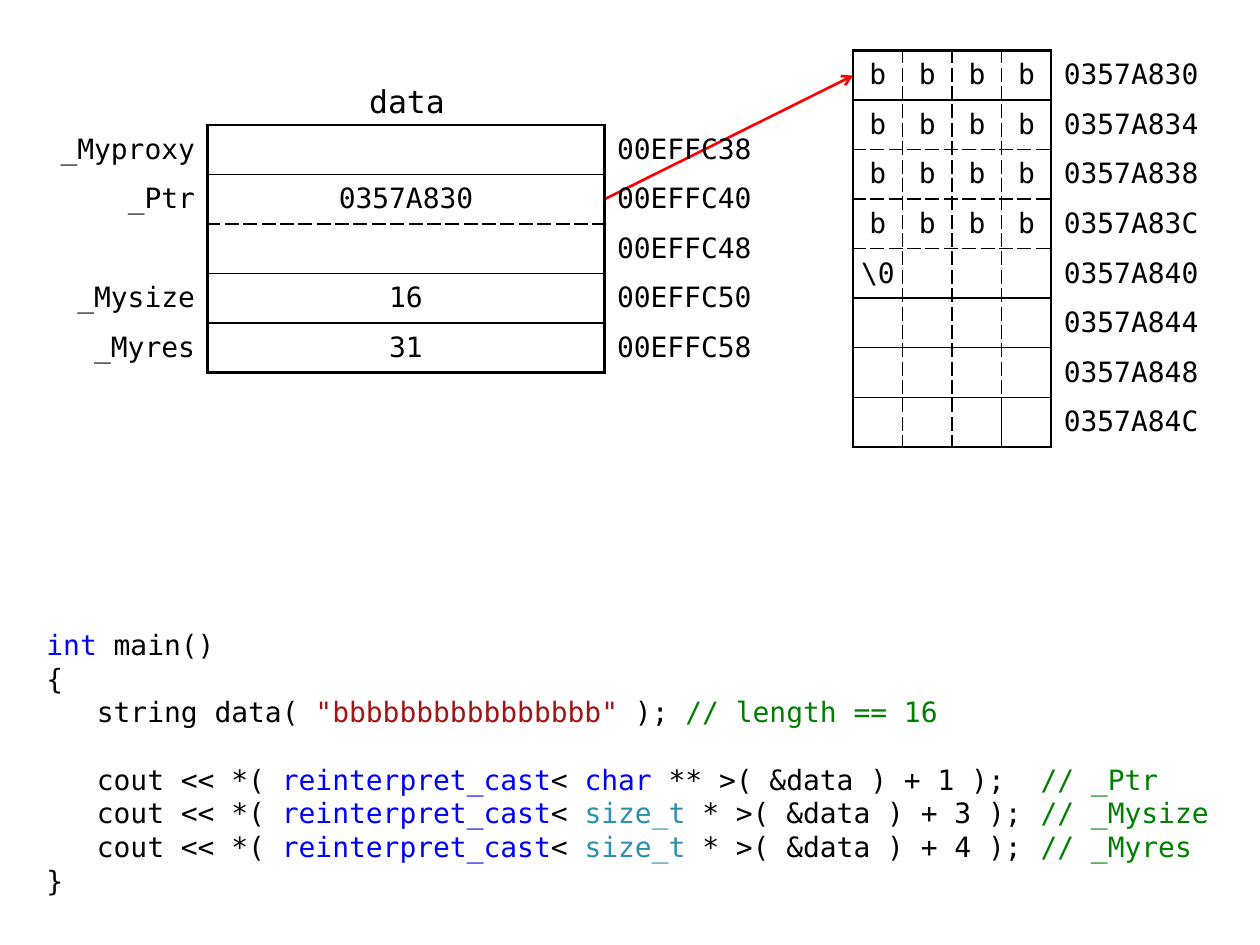
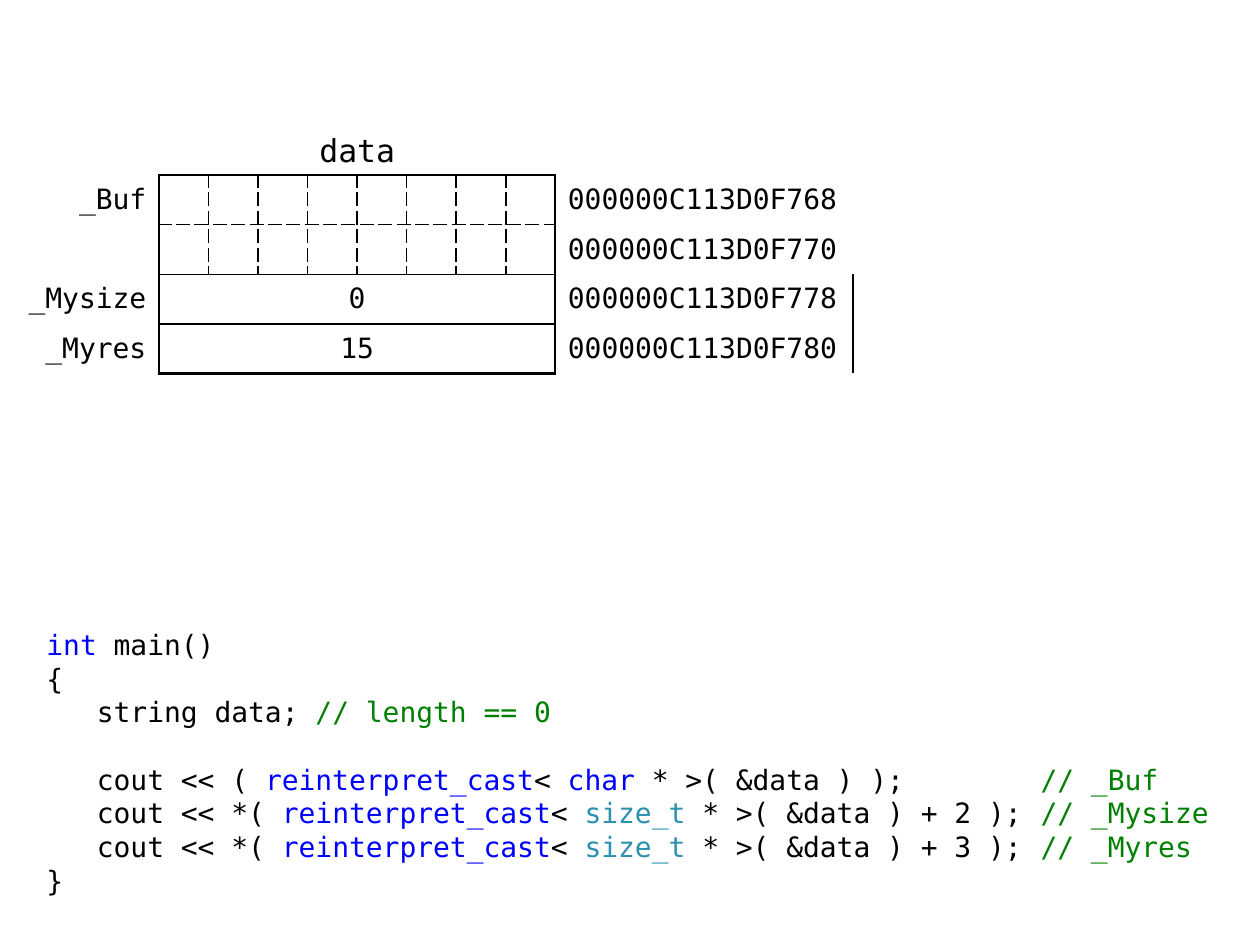
from lxml import etree
from pptx import Presentation
from pptx import util as u
from pptx.dml.color import RGBColor
from pptx.enum import shapes, text
from pptx.oxml import ns

FONT = "DejaVu Sans Mono"
BLACK, RED = "000000", "FF0000"
KEYWORD, TYPE, LITERAL, COMMENT = "0000FF", "2B91AF", "A31515", "008000"
CELL = 1 / 2.54  # side of one memory cell, in inches
LINE_PITCH = 19.25
COMMENT_COLUMN = 7.89
FRAME, SOLID, DASH = (1.5, "solid"), (1, "solid"), (1, "sysDash")


def cast_line(opening, kind, kind_color, rest, comment):
    return [("   cout << " + opening + "( ", BLACK), ("reinterpret_cast", KEYWORD),
            ("< ", BLACK), (kind, kind_color), (rest, BLACK),
            ("\t// " + comment, COMMENT)]


def size_line(offset, member):
    return cast_line("*", "size_t ", TYPE, f"* >( &data ) + {offset} );", member)


def program(declaration, output):
    """Blocks of code lines; a blank line stands between two blocks."""
    return [[[("int", KEYWORD), (" main()", BLACK)], [("{", BLACK)], declaration],
            output + [[("}", BLACK)]]]


# Widths are counted in cells. Each row: label, values, address, line below.
HEAP = {
    "at": (6.77, 0.4), "label_width": 0, "columns": [1] * 4, "address_width": 3.5,
    "solid_verticals": [(7, 3)],
    "rows": [
        ("", "bbbb", "0357A830", SOLID),
        ("", "bbbb", "0357A834", DASH),
        ("", "bbbb", "0357A838", DASH),
        ("", "bbbb", "0357A83C", DASH),
        ("", ["\\0", "", "", ""], "0357A840", SOLID),
        ("", [""] * 4, "0357A844", SOLID),
        ("", [""] * 4, "0357A848", SOLID),
        ("", [""] * 4, "0357A84C", FRAME),
    ],
}
LONG_STRING = {
    "at": (0.27, 0.99), "label_width": 3.5, "columns": [8], "address_width": 3.5,
    "rows": [
        ("_Myproxy", [""], "00EFFC38", SOLID),
        ("_Ptr", ["0357A830"], "00EFFC40", DASH),
        ("", [""], "00EFFC48", SOLID),
        ("_Mysize", ["16"], "00EFFC50", SOLID),
        ("_Myres", ["31"], "00EFFC58", FRAME),
    ],
}
EMPTY_STRING = {
    "at": (0.08, 1.39), "label_width": 3, "columns": [1] * 8, "address_width": 6,
    "rows": [
        ("_Buf", [""] * 8, "000000C113D0F768", DASH),
        ("", [""] * 8, "000000C113D0F770", SOLID),
        ("_Mysize", ["0"], "000000C113D0F778", SOLID),
        ("_Myres", ["15"], "000000C113D0F780", FRAME),
    ],
}
SLIDES = [
    {"memory": [HEAP, LONG_STRING], "pointer": ((4.8, 1.58), (6.77, 0.6)),
     "caption": (2.44, 0.6, 1.58, 0.39),
     "code": program(
         [("   string data( ", BLACK), ('"bbbbbbbbbbbbbbbb"', LITERAL),
          (" ); ", BLACK), ("// length == 16", COMMENT)],
         [cast_line("*", "char", KEYWORD, " ** >( &data ) + 1 );", "_Ptr"),
          size_line(3, "_Mysize"), size_line(4, "_Myres")])},
    {"memory": [EMPTY_STRING], "pointer": None,
     "caption": (2.44, 0.99, 0.79, 0.39),
     "code": program(
         [("   string data; ", BLACK), ("// length == 0", COMMENT)],
         [cast_line("", "char", KEYWORD, " * >( &data ) );", "_Buf"),
          size_line(2, "_Mysize"), size_line(3, "_Myres")])},
]


def rgb(hex_color):
    return RGBColor.from_string(hex_color)


def write(paragraph, words, size=16, color=BLACK, align=text.PP_ALIGN.LEFT):
    paragraph.alignment = align
    run = paragraph.add_run()
    run.text = words
    run.font.name, run.font.size = FONT, u.Pt(size)
    run.font.color.rgb = rgb(color)


def text_box(slide, box, side=0.1):
    frame = slide.shapes.add_textbox(*map(u.Inches, box)).text_frame
    frame.word_wrap = True
    frame.margin_left = frame.margin_right = u.Inches(side)
    frame.margin_top = frame.margin_bottom = u.Inches(0.05)
    return frame


def add_tab_stop(paragraph, position):
    tabs = etree.SubElement(paragraph._p.get_or_add_pPr(), ns.qn("a:tabLst"))
    etree.SubElement(tabs, ns.qn("a:tab"), pos=str(u.Inches(position)), algn="l")


def add_code(slide, blocks):
    frame = text_box(slide, (0.27, 4.93, 9.45, 2.17))
    paragraph = frame.paragraphs[0]
    for b, block in enumerate(blocks):
        for n, line in enumerate(block):
            if b or n:
                paragraph = frame.add_paragraph()
            if any(words.startswith("\t") for words, _ in line):
                add_tab_stop(paragraph, COMMENT_COLUMN)
            paragraph.line_spacing = u.Pt(LINE_PITCH)
            if b and n == 0:
                paragraph.space_before = u.Pt(LINE_PITCH)
            for words, color in line:
                write(paragraph, words, color=color)


def set_borders(cell, **edges):
    """Draw the edges L, R, T and B that are given, and leave the cell unfilled."""
    properties = cell._tc.get_or_add_tcPr()
    for side in "LRTB":
        if edges.get(side):
            width, dash = edges[side]
            line = etree.SubElement(properties, ns.qn("a:ln" + side), w=str(u.Pt(width)))
            fill = etree.SubElement(line, ns.qn("a:solidFill"))
            etree.SubElement(fill, ns.qn("a:srgbClr"), val=BLACK)
            etree.SubElement(line, ns.qn("a:prstDash"), val=dash)
    cell.fill.background()


def fill_cell(cell, words, align, side):
    cell.vertical_anchor = text.MSO_ANCHOR.MIDDLE
    cell.margin_left = cell.margin_right = u.Inches(side)
    cell.margin_top = cell.margin_bottom = u.Inches(0.04)
    if words:
        write(cell.text_frame.paragraphs[0], words, align=align)


def add_memory(slide, memory):
    rows, columns = memory["rows"], memory["columns"]
    first = 1 if memory["label_width"] else 0
    last = len(columns) - 1
    widths = [memory["label_width"]] * first + columns + [memory["address_width"]]
    table = slide.shapes.add_table(
        len(rows), len(widths), *map(u.Inches, memory["at"]),
        u.Inches(sum(widths) * CELL), u.Inches(len(rows) * CELL)).table
    table.first_row = table.horz_banding = False
    plain_style = "{2D5ABB26-0587-4C30-8999-92F81FD0307C}"
    table._tbl.tblPr.find(ns.qn("a:tableStyleId")).text = plain_style
    for column, width in zip(table.columns, widths):
        column.width = u.Inches(width * CELL)

    above = FRAME
    for r, (label, values, address, below) in enumerate(rows):
        table.rows[r].height = u.Inches(CELL)
        if first:
            fill_cell(table.cell(r, 0), label, text.PP_ALIGN.RIGHT, 0.1)
            set_borders(table.cell(r, 0), R=FRAME)
        address_cell = table.cell(r, len(widths) - 1)
        fill_cell(address_cell, address, text.PP_ALIGN.LEFT, 0.1)
        set_borders(address_cell, L=FRAME)

        merged = len(values) < len(columns)
        if merged:
            table.cell(r, first).merge(table.cell(r, first + last))
        for c, value in enumerate(values):
            fill_cell(table.cell(r, first + c), value, text.PP_ALIGN.CENTER, 0.04)

        def vertical(c):
            if c in (0, last + 1):
                return FRAME
            if merged:
                return FRAME if c == 1 else None
            return SOLID if (r, c) in memory.get("solid_verticals", []) else DASH

        for c in range(last + 1):
            left = None if merged and c else vertical(c)
            set_borders(table.cell(r, first + c), L=left, R=vertical(c + 1),
                        T=above, B=below)
        above = below


def add_pointer(slide, start, end):
    arrow = slide.shapes.add_connector(
        shapes.MSO_CONNECTOR.STRAIGHT, *map(u.Inches, start + end))
    arrow.line.color.rgb = rgb(RED)
    arrow.line.width = u.Pt(1.5)
    etree.SubElement(arrow.line._get_or_add_ln(), ns.qn("a:tailEnd"), type="arrow")
    etree.SubElement(arrow._element.spPr, ns.qn("a:effectLst"))


def main():
    deck = Presentation()
    deck.slide_width, deck.slide_height = u.Inches(10), u.Inches(7.5)
    for content in SLIDES:
        slide = deck.slides.add_slide(deck.slide_layouts[6])
        add_code(slide, content["code"])
        for n, memory in enumerate(content["memory"]):
            if n:
                add_pointer(slide, *content["pointer"])
            add_memory(slide, memory)
        caption = text_box(slide, content["caption"], side=0.08)
        write(caption.paragraphs[0], "data", size=18, align=text.PP_ALIGN.CENTER)
    deck.save("out.pptx")


if __name__ == "__main__":
    main()
